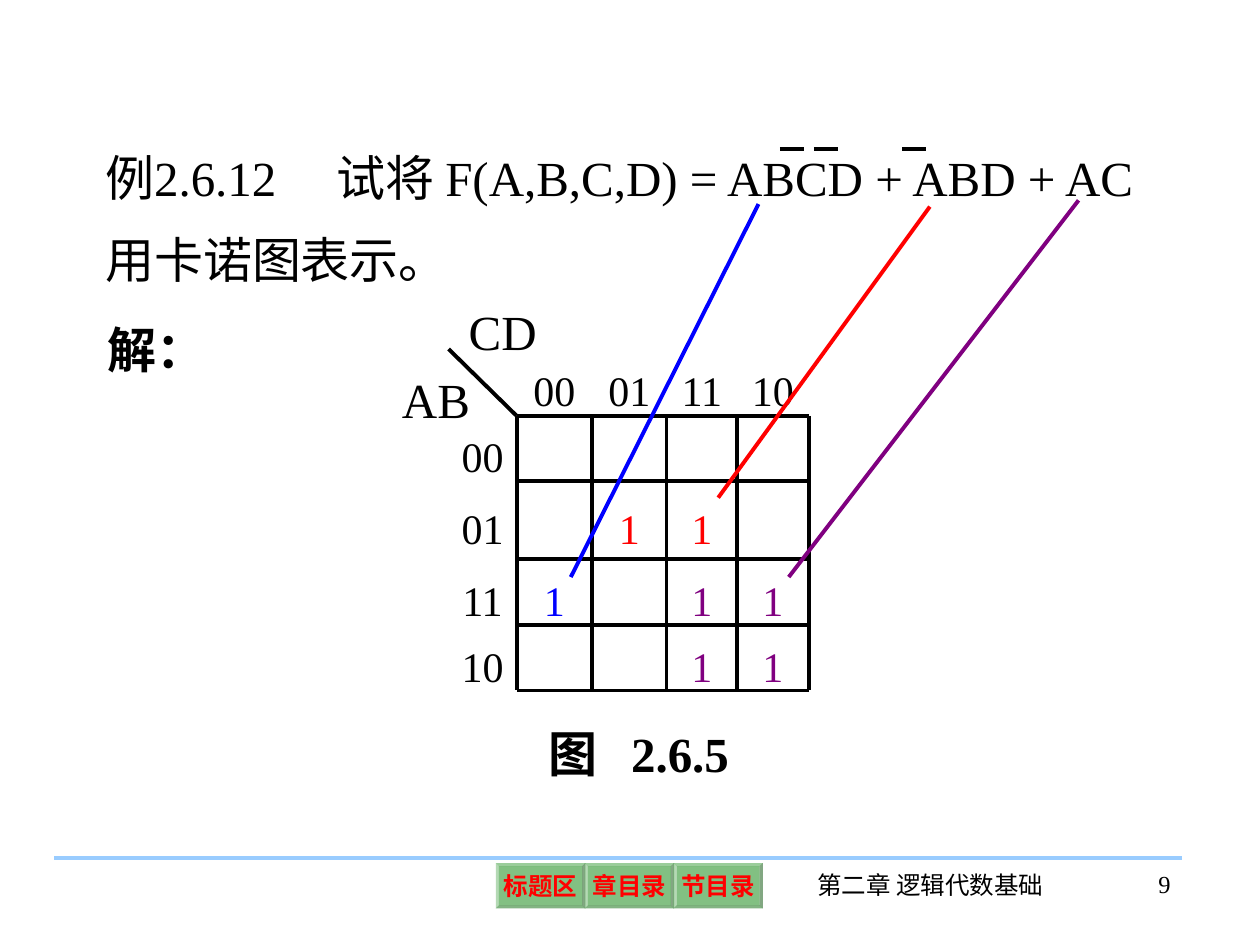
from dataclasses import dataclass

from lxml import etree
from pptx import Presentation
from pptx import util as u
from pptx.dml.color import RGBColor
from pptx.enum import shapes, text
from pptx.oxml import ns


@dataclass(frozen=True)
class Theme:
    font: str = "Times New Roman"
    ink: str = "000000"
    blue: str = "0000FF"
    red: str = "FF0000"
    purple: str = "800080"
    rule: str = "99CCFF"
    button: str = "008000"
    body: int = 28
    cell: int = 24
    small: int = 14
    stroke: float = 2.25


THEME = Theme()
WIDTH, HEIGHT = u.Inches(10), u.Inches(7.5)
COLUMNS, ROWS = 100, 75
MAP_COLUMNS = (35.6, 41, 47, 52.9, 58.5, 64.2)
MAP_ROWS = (27.7, 33, 38.2, 44.4, 49.6, 54.8)
CELL_DROP = 0.2
GRAY_CODE = ("00", "01", "11", "10")
MINTERMS = {
    (3, 1): THEME.blue,
    (2, 2): THEME.red,
    (2, 3): THEME.red,
    **{(row, column): THEME.purple for row in (3, 4) for column in (3, 4)},
}


def across(columns):
    return round(WIDTH * columns / COLUMNS)


def down(rows):
    return round(HEIGHT * rows / ROWS)


def area(left, top, width, height):
    return across(left), down(top), across(width), down(height)


def add_xml(parent, tag, **attributes):
    return etree.SubElement(parent, ns.qn(tag), attributes)


def write(frame, wording, size=THEME.body, color=THEME.ink, bold=False,
          align=text.PP_ALIGN.LEFT, spacing=None, tab=None):
    paragraph = frame.paragraphs[0]
    paragraph.alignment = align
    if spacing:
        paragraph.line_spacing = spacing
    if tab:
        stops = add_xml(paragraph._p.get_or_add_pPr(), "a:tabLst")
        add_xml(stops, "a:tab", pos=str(across(tab)), algn="l")
    run = paragraph.add_run()
    run.text = wording
    run.font.name = THEME.font
    run.font.size = u.Pt(size)
    run.font.bold = bold
    run.font.color.rgb = RGBColor.from_string(color)


def set_margins(frame, horizontal, vertical):
    frame.margin_left = frame.margin_right = across(horizontal)
    frame.margin_top = frame.margin_bottom = down(vertical)


def add_label(slide, wording, box, margins=(0.2, 0),
              anchor=text.MSO_ANCHOR.TOP, **style):
    frame = slide.shapes.add_textbox(*area(*box)).text_frame
    frame.word_wrap = True
    frame.vertical_anchor = anchor
    set_margins(frame, *margins)
    write(frame, wording, **style)


def add_line(slide, start, end, color=THEME.ink):
    line = slide.shapes.add_connector(
        shapes.MSO_CONNECTOR.STRAIGHT,
        across(start[0]), down(start[1]), across(end[0]), down(end[1]))
    line.line.color.rgb = RGBColor.from_string(color)
    line.line.width = u.Pt(THEME.stroke)
    add_xml(line._element.spPr, "a:effectLst")


def add_button(slide, wording, box):
    button = slide.shapes.add_shape(shapes.MSO_SHAPE.BEVEL, *area(*box))
    button.adjustments[0] = 0.07
    button.shadow.inherit = False
    button.line.fill.background()
    button.fill.solid()
    button.fill.fore_color.rgb = RGBColor.from_string(THEME.button)
    tint = button._element.spPr.find(".//" + ns.qn("a:srgbClr"))
    add_xml(tint, "a:alpha", val="49000")
    frame = button.text_frame
    frame.word_wrap = False
    frame.vertical_anchor = text.MSO_ANCHOR.MIDDLE
    set_margins(frame, 0.4, 0.4)
    write(frame, wording, size=THEME.small, color=THEME.red, bold=True,
          align=text.PP_ALIGN.CENTER)


def add_problem(slide):
    problem = slide.shapes.title
    problem.left, problem.top, problem.width, problem.height = area(8.35, 9.85, 83.4, 13.1)
    frame = problem.text_frame
    frame.word_wrap = True
    frame.auto_size = text.MSO_AUTO_SIZE.NONE
    frame.vertical_anchor = text.MSO_ANCHOR.TOP
    set_margins(frame, 0, 0)
    write(frame, "例2.6.12\t试将 F(A,B,C,D) = ABCD + ABD + AC 用卡诺图表示。",
          spacing=1.4, tab=18.35)
    for left in (61.9, 64.6, 71.6):
        add_line(slide, (left, 11.85), (left + 1.9, 11.85))


def add_map_value(slide, row, column, wording, color=THEME.ink):
    left, top = MAP_COLUMNS[column], MAP_ROWS[row]
    box = (left, top + CELL_DROP,
           MAP_COLUMNS[column + 1] - left, MAP_ROWS[row + 1] - top)
    add_label(slide, wording, box, (0.2, 0.2), text.MSO_ANCHOR.MIDDLE,
              size=THEME.cell, color=color, align=text.PP_ALIGN.CENTER, spacing=1.2)


def add_karnaugh_map(slide):
    for (row, column), color in MINTERMS.items():
        add_map_value(slide, row, column, "1", color)
    for index, code in enumerate(GRAY_CODE, start=1):
        add_map_value(slide, index, 0, code)
        add_map_value(slide, 0, index, code)
    corner, *verticals = MAP_COLUMNS
    header, *horizontals = MAP_ROWS
    add_line(slide, (corner, header), (verticals[0], horizontals[0]))
    for x in verticals:
        add_line(slide, (x, horizontals[0]), (x, horizontals[-1]))
    for y in horizontals:
        add_line(slide, (verticals[0], y), (verticals[-1], y))
    add_label(slide, "AB", (31.7, 29.35, 8.5, 4.7))
    add_label(slide, "CD", (37, 23.9, 8.5, 4.7))


def add_footer(slide):
    add_line(slide, (4.3, 68.1), (93.8, 68.1), THEME.rule)
    for index, wording in enumerate(("标题区", "章目录", "节目录")):
        add_button(slide, wording, (39.35 + 7.05 * index, 68.5, 7.1, 3.6))
    add_label(slide, "第二章 逻辑代数基础", (62.5, 68.6, 22.7, 5), (1, 0.5),
              size=THEME.small, align=text.PP_ALIGN.CENTER)
    add_label(slide, "9", (85.3, 68.5, 8.6, 5), (1, 0.5),
              size=THEME.small, align=text.PP_ALIGN.RIGHT)


def main():
    deck = Presentation()
    deck.slide_width, deck.slide_height = WIDTH, HEIGHT
    slide = deck.slides.add_slide(deck.slide_layouts.get_by_name("Title Only"))
    add_footer(slide)
    add_problem(slide)
    add_label(slide, "解：", (8.3, 25.35, 8.5, 4.7), bold=True)
    add_karnaugh_map(slide)
    add_label(slide, "图\t2.6.5", (42.55, 56.9, 20.9, 5.7), (1, 0.5), bold=True, tab=6.55)
    add_line(slide, (45.3, 45.8), (60.2, 16.2), THEME.blue)
    add_line(slide, (57, 39.5), (73.8, 16.4), THEME.red)
    add_line(slide, (62.6, 45.8), (85.6, 15.9), THEME.purple)
    deck.save("out.pptx")


if __name__ == "__main__":
    main()
